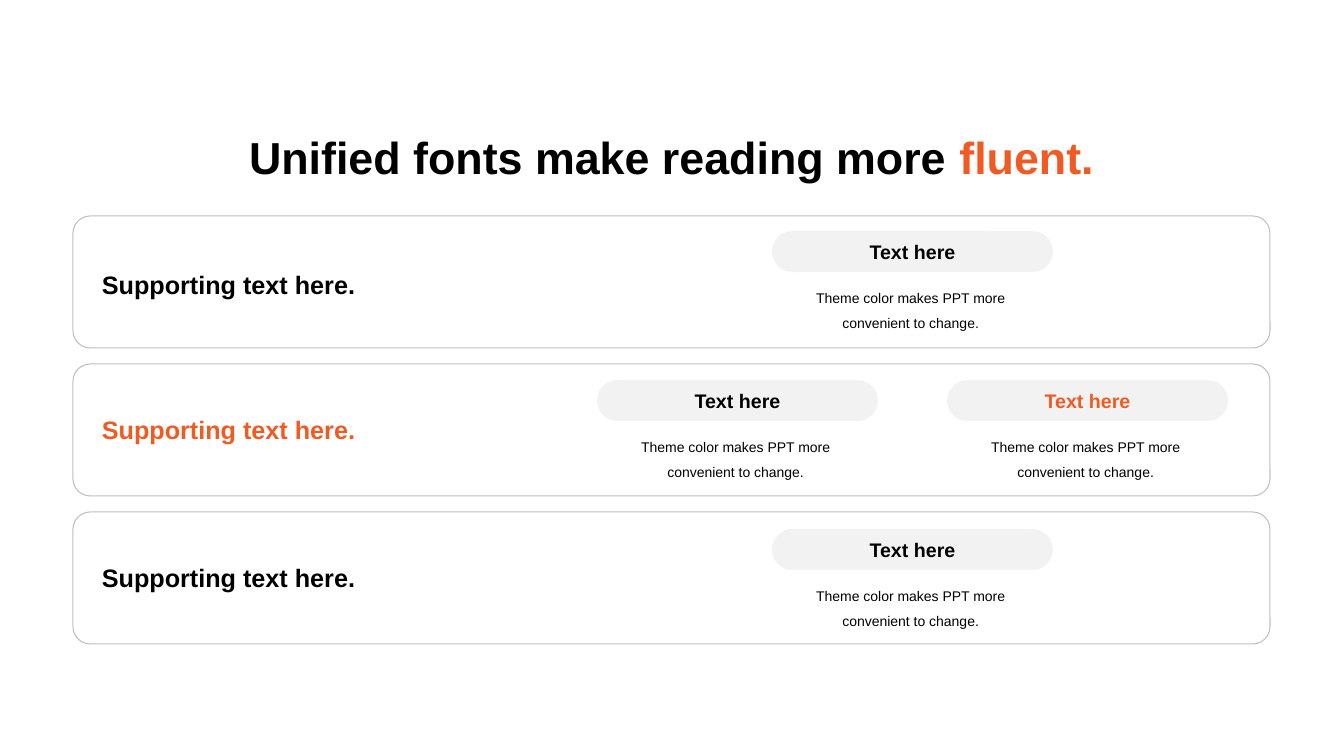
from lxml import etree
from pptx import Presentation
from pptx import util as u
from pptx.dml.color import RGBColor
from pptx.enum import shapes, text
from pptx.oxml import ns

BLACK = RGBColor(0x00, 0x00, 0x00)
ORANGE = RGBColor(0xF0, 0x5A, 0x23)
GREY = RGBColor(0x80, 0x80, 0x80)
PX = 914400 / 100.8
LEFT, CENTER = text.PP_ALIGN.LEFT, text.PP_ALIGN.CENTER


def px(*vals):
    return [u.Emu(round(v * PX)) for v in vals]


def write(shape, lines, size, bold, align, space=1.0):
    """Fill a shape with lines, each a list of (words, colour) runs."""
    frame = shape.text_frame
    for n, line in enumerate(lines):
        para = frame.add_paragraph() if n else frame.paragraphs[0]
        para.alignment, para.line_spacing = align, space
        for words, color in line:
            run = para.add_run()
            run.text = words
            look = {"name": "Arial", "size": u.Pt(size), "bold": bold}
            for key, val in look.items():
                setattr(run.font, key, val)
            run.font.color.rgb = color


# Slide
deck = Presentation()
deck.slide_width, deck.slide_height = px(1344, 756)
slide = deck.slides.add_slide(deck.slide_layouts[5])
items = slide.shapes

# Title
title = items.title
title.left, title.top, title.width, title.height = px(73, 125, 1197, 65)
title.text_frame.auto_size = text.MSO_AUTO_SIZE.NONE
title.text_frame.vertical_anchor = text.MSO_ANCHOR.TOP
write(title, [[("Unified fonts make reading more ", BLACK), ("fluent.", ORANGE)]],
      32, True, CENTER)

# Rows: label top, label colour, pills as (left, colour)
rows = [
    (264, BLACK, [(772, BLACK)]),
    (409, ORANGE, [(597, BLACK), (947, ORANGE)]),
    (557, BLACK, [(772, BLACK)]),
]
faded = []
for i, (top, color, pills) in enumerate(rows):
    # Outlined card
    card = items.add_shape(shapes.MSO_SHAPE.ROUNDED_RECTANGLE,
                           *px(73, 216 + 148 * i, 1197, 132))
    card.adjustments[0] = 0.13
    card.fill.background()
    card.line.color.rgb = GREY
    card.line.width = u.Pt(0.75)
    faded.append((card, 50))

    # Label
    label = items.add_textbox(*px(92, top, 276, 40))
    label.text_frame.word_wrap = False
    write(label, [[("Supporting text here.", color)]], 18, True, LEFT)

    # Pills with notes below
    for left, tint in pills:
        y = 231 + 149 * i
        pill = items.add_shape(shapes.MSO_SHAPE.ROUNDED_RECTANGLE,
                               *px(left, y, 281, 41))
        pill.adjustments[0] = 0.5
        pill.fill.solid()
        pill.fill.fore_color.rgb = GREY
        pill.line.fill.background()
        pill.text_frame.vertical_anchor = text.MSO_ANCHOR.MIDDLE
        write(pill, [[("Text here", tint)]], 14, True, CENTER)
        faded.append((pill, 10))

        note = items.add_textbox(*px(left, y + 45, 281, 57))
        note.text_frame.word_wrap = True
        write(note, [[("Theme color makes PPT more ", BLACK)],
                     [("convenient to change. ", BLACK)]], 10, False, CENTER, 1.5)

# Transparency in percent of opacity
for shape, part in faded:
    shape.shadow.inherit = False
    for tone in shape._element.spPr.iter(ns.qn("a:srgbClr")):
        etree.SubElement(tone, ns.qn("a:alpha"), val=str(part * 1000))

deck.save("out.pptx")
